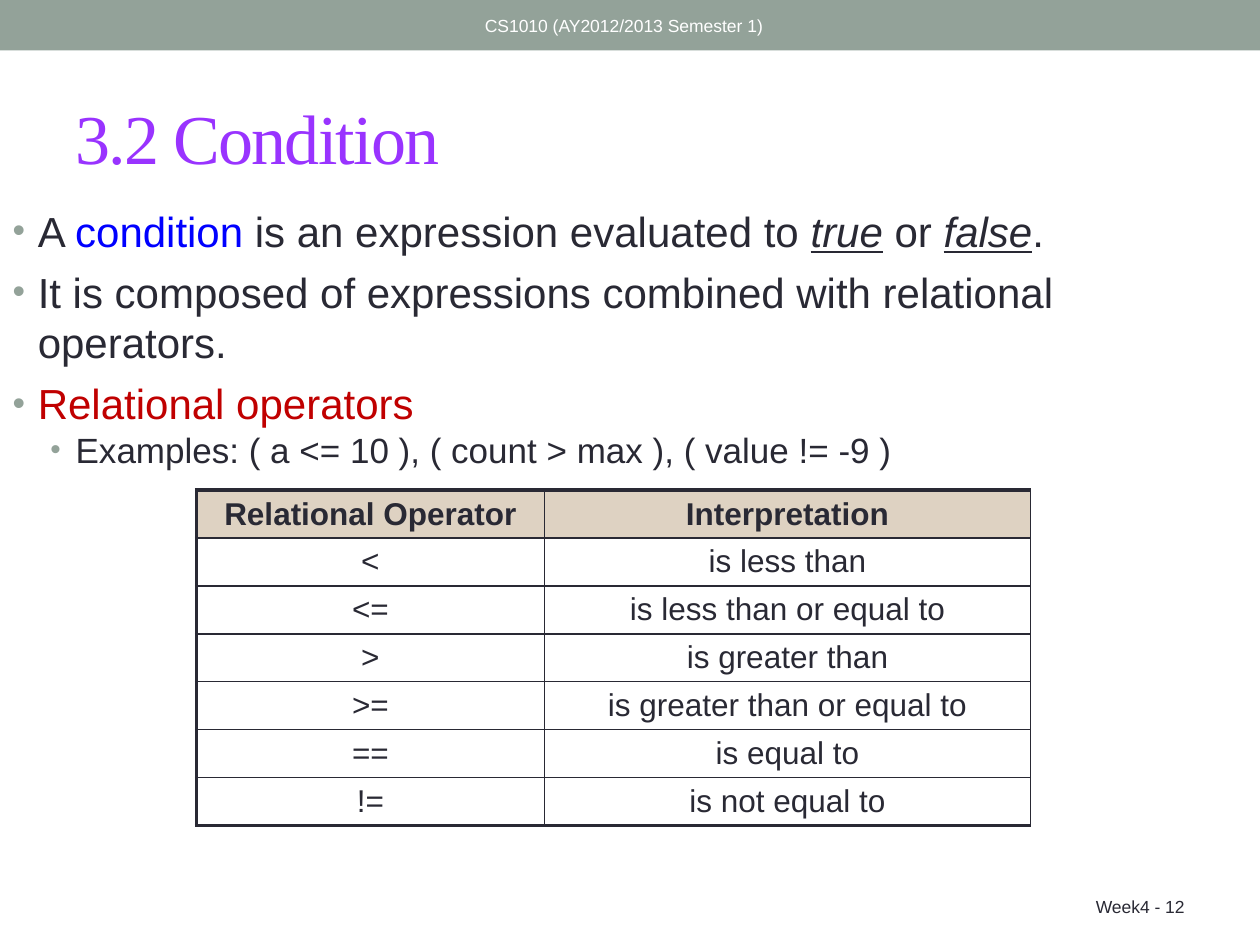
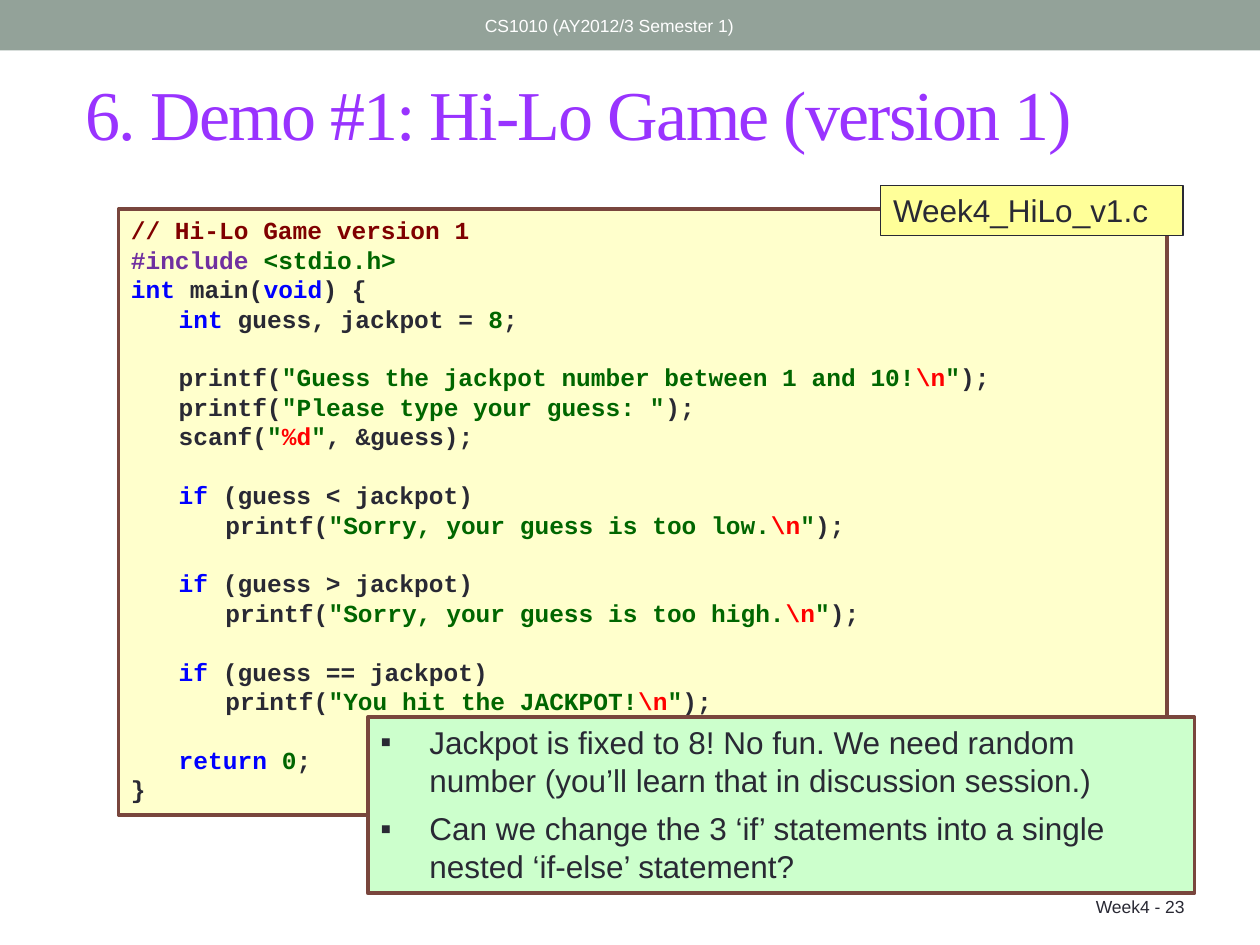
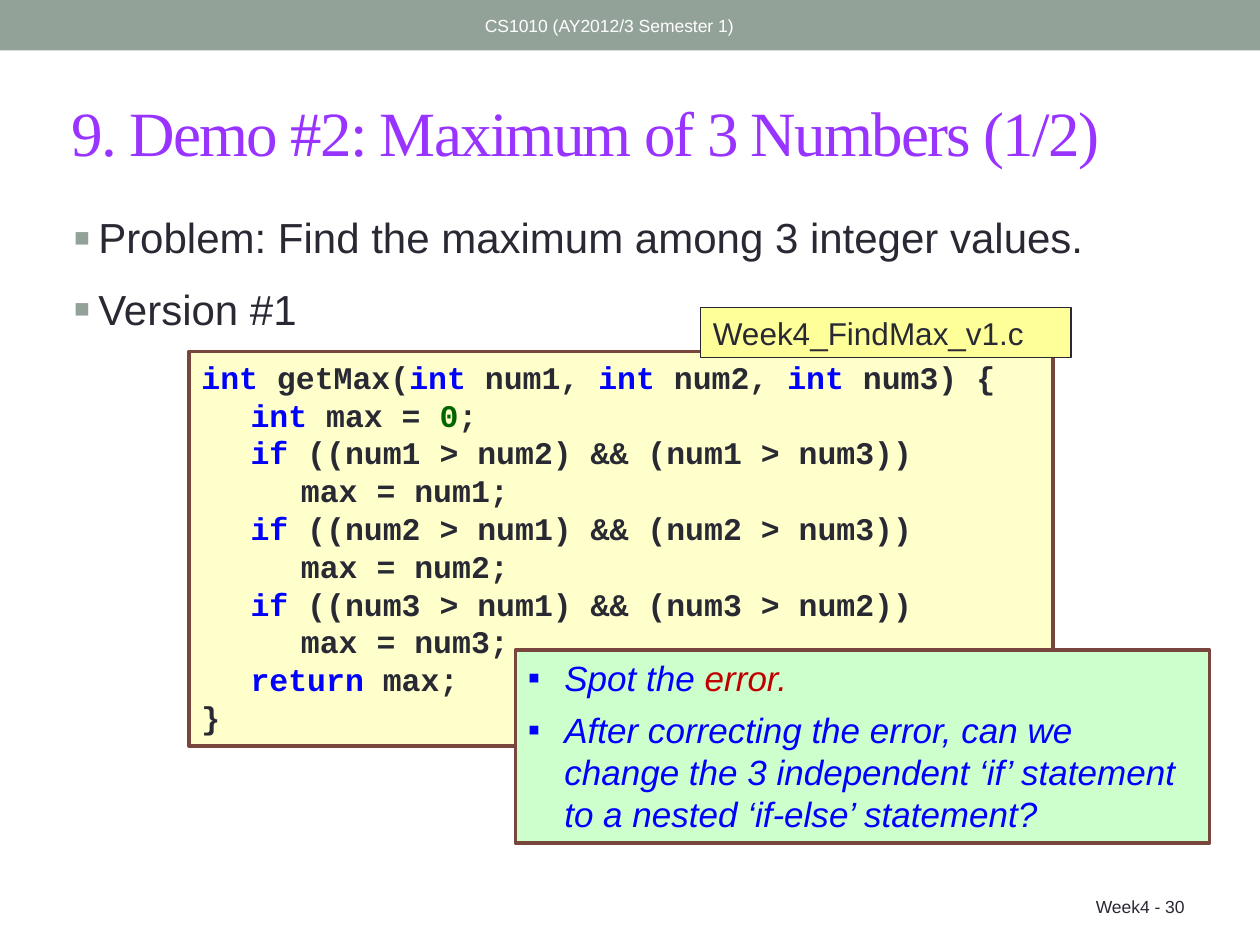
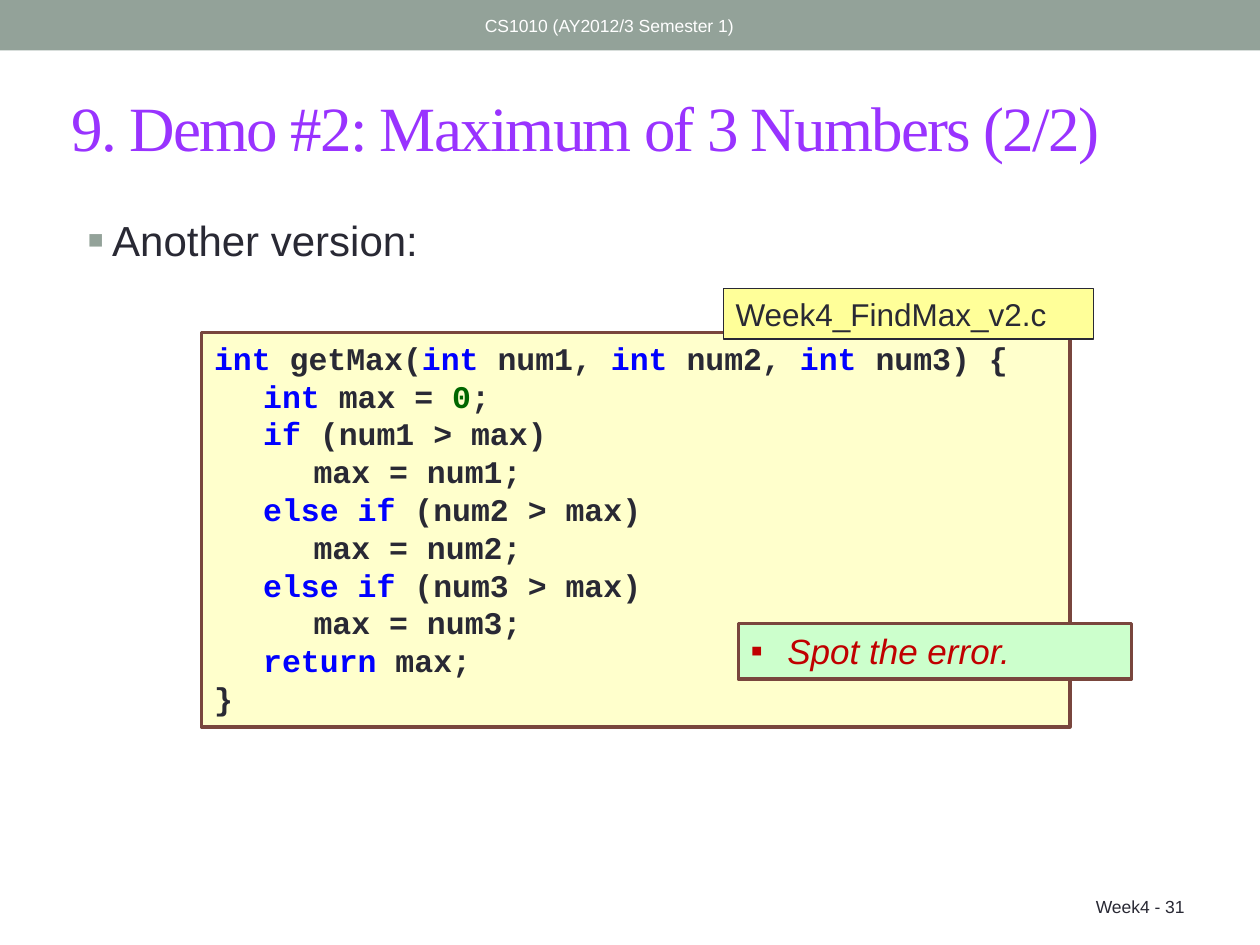
import dataclasses

import lxml.etree
import pptx
import pptx.dml.color
import pptx.enum.shapes
import pptx.enum.text
import pptx.oxml.ns
import pptx.util

Inches = pptx.util.Inches
Pt = pptx.util.Pt
ALIGN = pptx.enum.text.PP_ALIGN
ANCHOR = pptx.enum.text.MSO_ANCHOR
AUTO_SIZE = pptx.enum.text.MSO_AUTO_SIZE


@dataclasses.dataclass(frozen=True)
class Theme:
    sans: str = "Arial"
    serif: str = "Times New Roman"
    mono: str = "Courier New"
    ink: str = "292934"
    band: str = "93A299"
    title: str = "9933FF"
    white: str = "FFFFFF"
    blue: str = "0000FF"
    dark_red: str = "C00000"
    frame: str = "79463D"
    code_fill: str = "FFFFCC"
    label_fill: str = "FFFF99"
    note_fill: str = "CCFFCC"
    table_head: str = "DED2C2"
    small: int = 10
    normal: int = 18
    sub: int = 20
    body: int = 24
    thin: float = 1
    thick: float = 2.25
    frame_width: float = 2.08
    label_width: float = 0.75


THEME = Theme()

# Marked text: pieces are split by "|"; a piece may start with "key~" from this table
MARKS = {
    "": {},
    "k": {"color": THEME.blue},
    "s": {"color": "006600"},
    "e": {"color": "FF0000"},
    "c": {"color": "800000"},
    "p": {"color": "7030A0"},
    "r": {"color": THEME.dark_red},
    "u": {"italic": True, "underline": True},
}


@dataclasses.dataclass(frozen=True)
class Box:
    left: float
    top: float
    width: float
    height: float

    def inches(self):
        return [Inches(v) for v in dataclasses.astuple(self)]


@dataclasses.dataclass(frozen=True)
class Bullet:
    char: str
    indent: float = 0.2
    color: str = ""
    percent: int = 100


def rgb(value):
    return pptx.dml.color.RGBColor.from_string(value)


def add_xml(parent, tag, **attributes):
    child = lxml.etree.SubElement(parent, pptx.oxml.ns.qn(tag))
    for key, value in attributes.items():
        child.set(key, str(value))
    return child


# ---- Text ----
def format_font(font, formats):
    for key, value in formats.items():
        if key == "color":
            font.color.rgb = rgb(value)
        else:
            setattr(font, key, value)


def write_runs(paragraph, marked, name, size, color=THEME.ink, **formats):
    base = {"name": name, "size": Pt(size), "color": color, **formats}
    for piece in marked.split("|"):
        mark, _, words = piece.rpartition("~")
        run = paragraph.add_run()
        run.text = words
        format_font(run.font, {**base, **MARKS[mark]})


def next_paragraph(frame, index):
    return frame.add_paragraph() if index else frame.paragraphs[0]


def set_bullet(paragraph, bullet, level=0):
    properties = paragraph._p.get_or_add_pPr()
    margin = bullet.indent if level == 0 else 0.5
    properties.set("marL", str(Inches(margin)))
    properties.set("indent", str(-Inches(bullet.indent)))
    if bullet.color:
        add_xml(add_xml(properties, "a:buClr"), "a:srgbClr", val=bullet.color)
    add_xml(properties, "a:buSzPct", val=bullet.percent * 1000)
    add_xml(properties, "a:buFont", typeface=THEME.sans)
    add_xml(properties, "a:buChar", char=bullet.char)


def write_list(frame, items, bullet, gap, size, **formats):
    """Items that start with ">" go one level down."""
    for index, item in enumerate(items):
        level = int(item.startswith(">"))
        paragraph = next_paragraph(frame, index)
        paragraph.level = level
        set_bullet(paragraph, bullet, level)
        paragraph.space_before = Pt(gap if index and not level else 0)
        write_runs(paragraph, item.removeprefix(">"), THEME.sans,
                   THEME.sub if level else size, **formats)


# ---- Shapes ----
def panel(shapes, box, fill, line=None, width=0):
    rectangle = shapes.add_shape(pptx.enum.shapes.MSO_SHAPE.RECTANGLE, *box.inches())
    rectangle.shadow.inherit = False
    rectangle.fill.solid()
    rectangle.fill.fore_color.rgb = rgb(fill)
    if line:
        rectangle.line.color.rgb = rgb(line)
        rectangle.line.width = Pt(width)
    else:
        rectangle.line.fill.background()
    frame = rectangle.text_frame
    frame.word_wrap = True
    frame.vertical_anchor = ANCHOR.TOP
    frame.paragraphs[0].alignment = ALIGN.LEFT
    return rectangle


def caption(slide, box, words, color, anchor, alignment):
    frame = slide.shapes.add_textbox(*box.inches()).text_frame
    frame.word_wrap = True
    frame.vertical_anchor = anchor
    frame.paragraphs[0].alignment = alignment
    write_runs(frame.paragraphs[0], words, THEME.sans, THEME.small, color)


def place(placeholder, box, anchor):
    for key, value in zip(("left", "top", "width", "height"), box.inches()):
        setattr(placeholder, key, value)
    frame = placeholder.text_frame
    frame.word_wrap = True
    frame.auto_size = AUTO_SIZE.NONE
    frame.vertical_anchor = anchor
    return frame


# ---- Parts every slide has ----
def add_master_band(prs, slide):
    band = panel(slide.shapes, Box(0, 0, 10, 0.4), THEME.band)
    prs.slide_master.shapes.element.insert(2, band.element)


def start_slide(prs, title, title_box, size, term, page, has_body=True):
    slide = prs.slides.add_slide(prs.slide_layouts[1 if has_body else 5])
    heading = place(slide.shapes.title, title_box, ANCHOR.MIDDLE).paragraphs[0]
    heading.alignment = ALIGN.LEFT
    write_runs(heading, title, THEME.serif, size, THEME.title)
    heading.runs[0]._r.get_or_add_rPr().set("spc", "-100")
    caption(slide, Box(3.75, 0.02, 4.5, 0.36), f"CS1010 ({term} Semester 1)",
            THEME.white, ANCHOR.MIDDLE, ALIGN.LEFT)
    caption(slide, Box(7.17, 6.83, 2.33, 0.5), f"Week4 - {page}",
            THEME.ink, ANCHOR.BOTTOM, ALIGN.RIGHT)
    return slide


def body_list(slide, box, items, bullet, gap):
    frame = place(slide.placeholders[1], box, ANCHOR.TOP)
    write_list(frame, items, bullet, gap, THEME.body)


# ---- Operator table ----
def set_borders(cell, widths):
    properties = cell._tc.get_or_add_tcPr()
    for side, width in widths.items():
        line = add_xml(properties, f"a:ln{side}", w=Pt(width))
        add_xml(add_xml(line, "a:solidFill"), "a:srgbClr", val=THEME.ink)


def operator_table(slide, box, column_widths, rows):
    table = slide.shapes.add_table(len(rows), len(column_widths), *box.inches()).table
    table.first_row = table.horz_banding = False
    for column, width in zip(table.columns, column_widths):
        column.width = Inches(width)
    for r, row in enumerate(rows):
        table.rows[r].height = Inches(box.height / len(rows))
        for c, words in enumerate(row):
            cell = table.cell(r, c)
            cell.margin_top = cell.margin_bottom = Inches(0.04)
            cell.vertical_anchor = ANCHOR.MIDDLE
            set_borders(cell, {
                "L": THEME.thin if c else THEME.thick,
                "R": THEME.thin,
                "T": THEME.thin if r else THEME.thick,
                "B": THEME.thick if r == len(rows) - 1 else THEME.thin,
            })
            if r == 0:
                cell.fill.solid()
                cell.fill.fore_color.rgb = rgb(THEME.table_head)
            else:
                cell.fill.background()
            paragraph = cell.text_frame.paragraphs[0]
            paragraph.alignment = ALIGN.CENTER
            write_runs(paragraph, words, THEME.sans, THEME.normal, bold=r == 0)


# ---- Code listing with its file name, and the note over it ----
def code_listing(slide, box, code, size, tabs, file_name, label_offset, label_width):
    shapes = slide.shapes.add_group_shape().shapes
    listing = panel(shapes, box, THEME.code_fill, THEME.frame, THEME.frame_width)
    blank_line = 0
    lines = code.strip("\n").split("\n")
    written = 0
    for line in lines:
        if not line:
            blank_line = size * 1.2
            continue
        paragraph = next_paragraph(listing.text_frame, written)
        paragraph.alignment = ALIGN.LEFT
        tab_list = add_xml(paragraph._p.get_or_add_pPr(), "a:tabLst")
        for stop in tabs:
            add_xml(tab_list, "a:tab", pos=Inches(stop), algn="l")
        paragraph.space_before = Pt(blank_line)
        write_runs(paragraph, line, THEME.mono, size, bold=True)
        blank_line = 0
        written += 1

    across, down = label_offset
    label_box = Box(box.left + across, box.top + down, label_width, 0.4)
    label = panel(shapes, label_box, THEME.label_fill, THEME.ink, THEME.label_width)
    write_runs(label.text_frame.paragraphs[0], file_name, THEME.sans, THEME.normal)


def note(slide, box, items, indent, size, **formats):
    frame = panel(slide.shapes, box, THEME.note_fill, THEME.frame,
                  THEME.frame_width).text_frame
    write_list(frame, items, Bullet("▪", indent), 6, size, **formats)
    for paragraph in frame.paragraphs:
        paragraph.alignment = ALIGN.LEFT


# ---- Content ----
OPERATORS = [
    ("Relational Operator", "Interpretation"),
    ("<", "is less than"),
    ("<=", "is less than or equal to"),
    (">", "is greater than"),
    (">=", "is greater than or equal to"),
    ("==", "is equal to"),
    ("!=", "is not equal to"),
]

HI_LO = r"""
c~// Hi-Lo Game version 1
p~#include |s~<stdio.h>
k~int| main(|k~void|) {
	|k~int |guess, jackpot = |s~8|;

	printf(|s~"Guess the jackpot number between 1 and 10!|e~\n|s~"|);
	printf(|s~"Please type your guess: "|);
	scanf(|s~"|e~%d|s~"|, &guess);

	|k~if| (guess < jackpot)
		printf(|s~"Sorry, your guess is too low.|e~\n|s~"|);

	|k~if| (guess > jackpot)
		printf(|s~"Sorry, your guess is too high.|e~\n|s~"|);

	|k~if| (guess == jackpot)
		printf(|s~"You hit the JACKPOT!|e~\n|s~"|);

	|k~return |s~0|;
}
"""

GET_MAX_START = """
k~int |getMax(|k~int| num1, |k~int| num2, |k~int| num3) {
	|k~int |max = |s~0|;
"""

GET_MAX_END = """	|k~return| max;
}
"""


def get_max(tests):
    branches = "".join(f"\t|k~{keyword}| ({test})\n\t\tmax = num{number};\n"
                       for number, (keyword, test) in enumerate(tests, 1))
    return GET_MAX_START + branches + GET_MAX_END


MAX_V1 = get_max([
    ("if", "(num1 > num2) && (num1 > num3)"),
    ("if", "(num2 > num1) && (num2 > num3)"),
    ("if", "(num3 > num1) && (num3 > num2)"),
])
MAX_V2 = get_max([
    ("if", "num1 > max"),
    ("else if", "num2 > max"),
    ("else if", "num3 > max"),
])

ROUND = Bullet("•", color=THEME.band, percent=85)
SQUARE = Bullet("▪", color=THEME.band, percent=120)
MAX_TABS = (0.39, 0.79, 1.18)


# ---- Slides ----
def condition_slide(prs):
    slide = start_slide(prs, "3.2 Condition", Box(0.5, 0.5, 9, 1.16), 40,
                        "AY2012/2013", 12)
    add_master_band(prs, slide)
    body_list(slide, Box(0, 1.58, 9.18, 2.37), [
        "A |k~condition| is an expression evaluated to |u~true| or |u~false|.",
        "It is composed of expressions combined with relational operators.",
        "r~Relational operators",
        ">Examples: ( a <= 10 ), ( count > max ), ( value != -9 )",
    ], ROUND, 6)
    operator_table(slide, Box(1.56, 3.89, 6.62, 2.66), (2.76, 3.86), OPERATORS)


def hi_lo_slide(prs):
    slide = start_slide(prs, "6. Demo #1: Hi-Lo Game (version 1)",
                        Box(0.58, 0.43, 9.17, 0.92), 40, "AY2012/3", 23, has_body=False)
    code_listing(slide, Box(0.94, 1.66, 8.32, 4.81), HI_LO, 14,
                 (0.38, 0.75, 1.19, 1.51, 1.87), "Week4_HiLo_v1.c", (6.05, -0.19), 2.4)
    note(slide, Box(2.92, 5.69, 6.56, 1.4), [
        "Jackpot is fixed to 8! No fun. We need random number "
        "(you’ll learn that in discussion session.)",
        "Can we change the 3 ‘if’ statements into a single nested ‘if-else’ statement?",
    ], 0.39, THEME.normal)


def maximum_slide(prs, part, page, title_box, list_box, items, gap,
                  code_box, code, label_across, note_box, remarks, note_color):
    slide = start_slide(prs, f"9. Demo #2: Maximum of 3 Numbers ({part}/2)",
                        title_box, 36, "AY2012/3", page)
    body_list(slide, list_box, items, SQUARE, gap)
    code_listing(slide, code_box, code, THEME.normal, MAX_TABS,
                 f"Week4_FindMax_v{part}.c", (label_across, -0.35), 2.94)
    note(slide, note_box, remarks, 0.29, THEME.sub, color=note_color, italic=True)


def main():
    prs = pptx.Presentation()
    prs.slide_width, prs.slide_height = Inches(10), Inches(7.5)
    condition_slide(prs)
    hi_lo_slide(prs)
    maximum_slide(
        prs, 1, 30, Box(0.47, 0.58, 9.17, 0.92), Box(0.48, 1.63, 8.68, 1.24),
        ["Problem: Find the maximum among 3 integer values.", "Version #1"], 12,
        Box(1.5, 2.79, 6.86, 3.13), MAX_V1, 4.06, Box(4.09, 5.16, 5.51, 1.53),
        ["Spot the |r~error.",
         "After correcting the error, can we change the 3 independent ‘if’ statement "
         "to a nested ‘if-else’ statement?"], THEME.blue)
    maximum_slide(
        prs, 2, 31, Box(0.47, 0.61, 9.17, 0.78), Box(0.59, 1.65, 8.75, 0.69),
        ["Another version:"], 6,
        Box(1.6, 2.64, 6.89, 3.13), MAX_V2, 4.14, Box(5.86, 4.95, 3.12, 0.44),
        ["Spot the error."], THEME.dark_red)
    prs.save("out.pptx")


if __name__ == "__main__":
    main()
